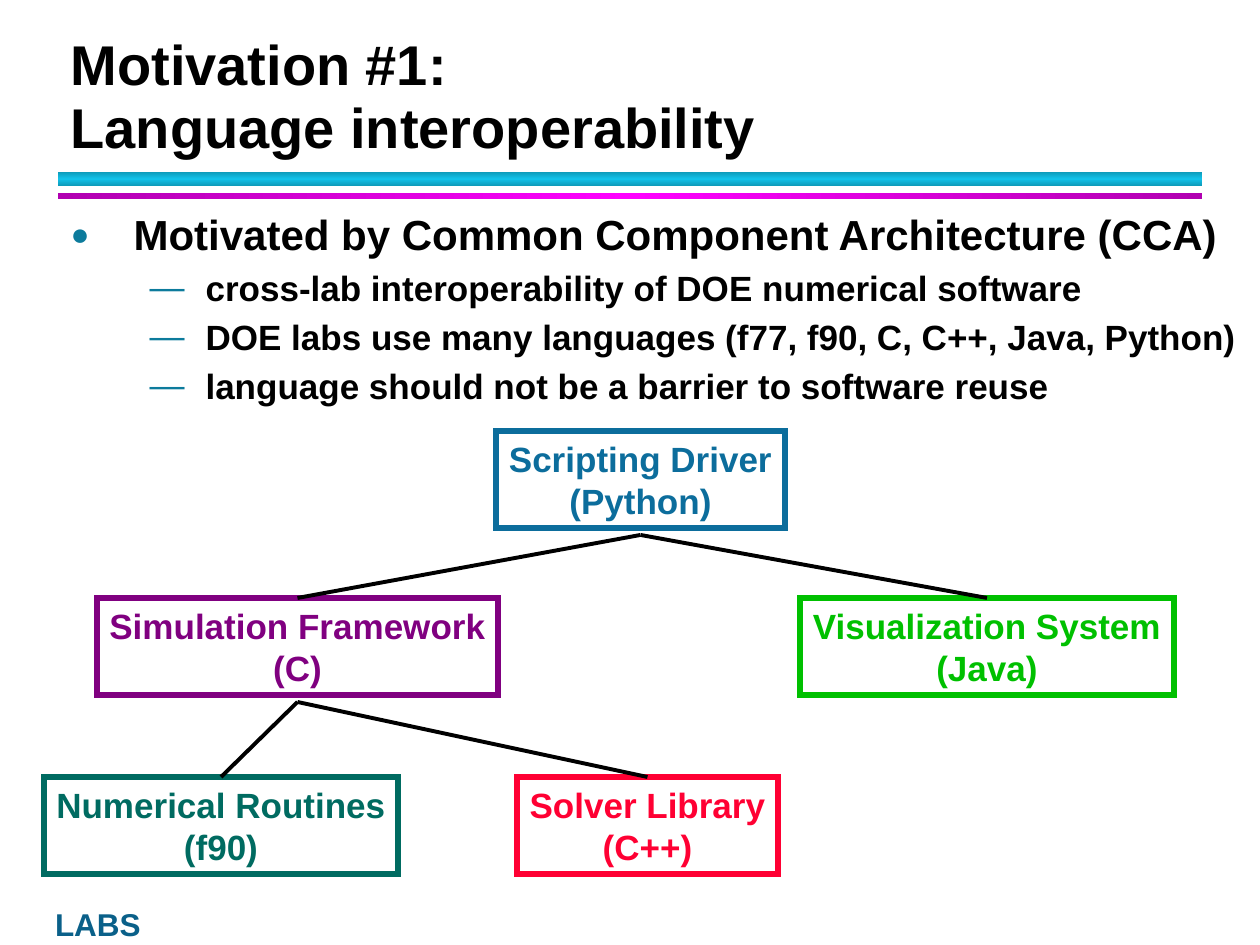
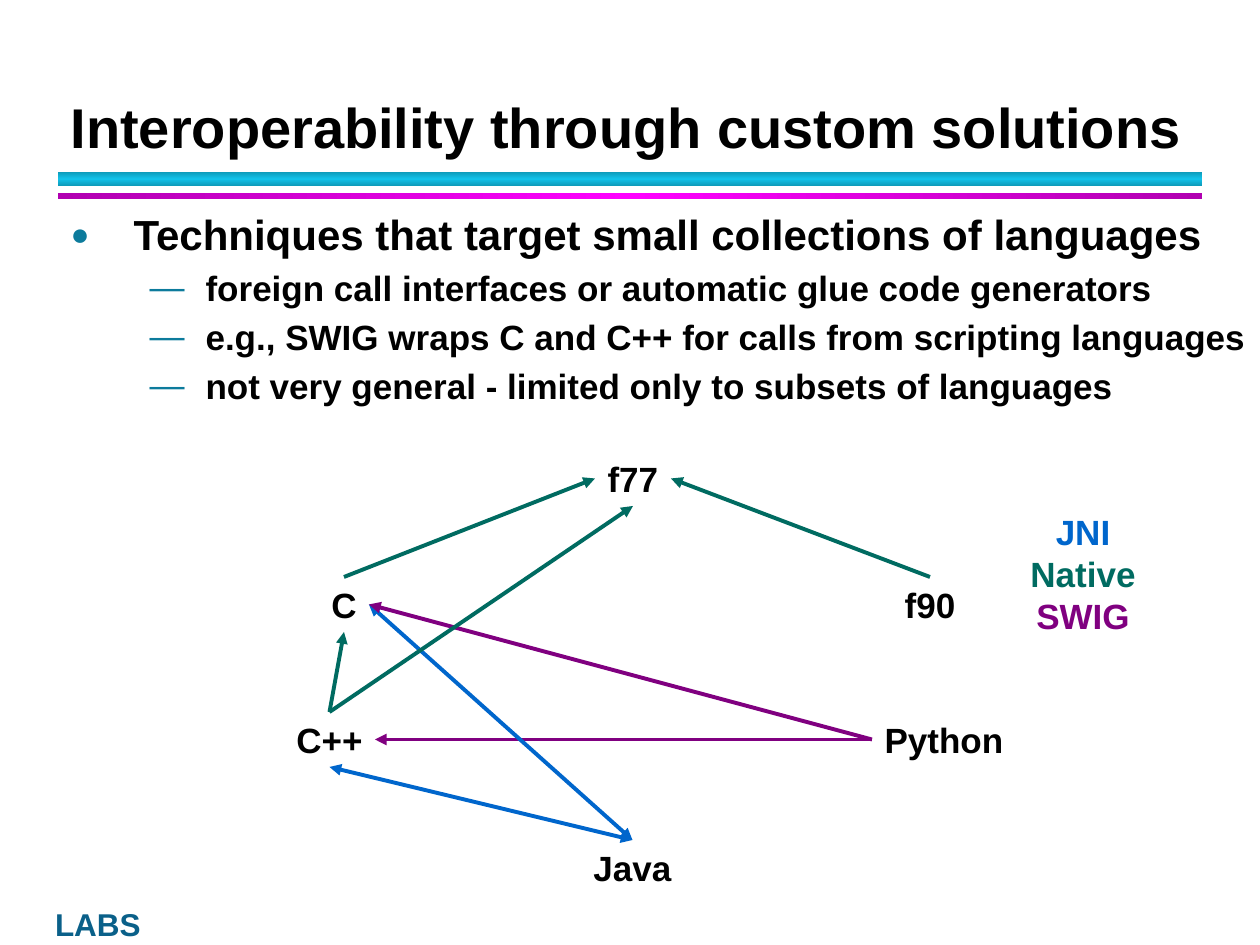
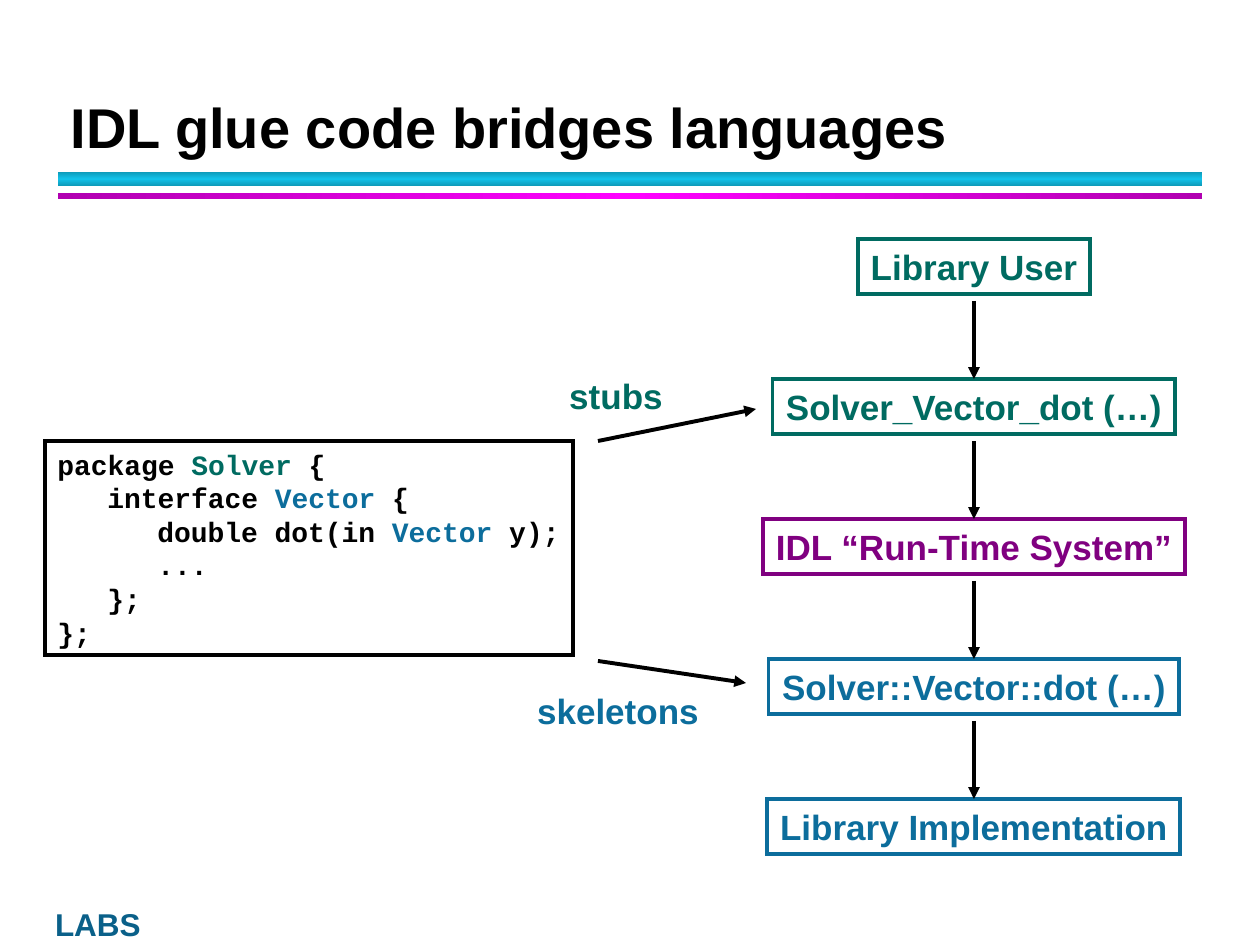
"""Build three slides on language interoperability and IDL glue code."""
from copy import deepcopy

from lxml import etree
from pptx import Presentation
from pptx import util as u
from pptx.dml.color import RGBColor
from pptx.enum import shapes, text
from pptx.oxml.ns import qn

PX = u.Inches(1) / 126
BLACK, GREEN, PURPLE, BLUE = "000000", "006B61", "800080", "0C6D9C"
JNI_BLUE, BULLET = "0066CC", "0C7B9C"
SANS, MONO = "Arial", "Courier New"
CENTER, LEFT = text.PP_ALIGN.CENTER, text.PP_ALIGN.LEFT
TOP, BOTTOM = text.MSO_ANCHOR.TOP, text.MSO_ANCHOR.BOTTOM

FOOTER = ("LABS", "0A6089", (55, 908, 97, 35))
BANDS = [
    ((58, 172, 1144, 14), 90, ("0E9AB9", "12C2E9", "0E9AB9")),
    ((58, 193, 1144, 6), 0, ("B100B1", "FF00FF", "B100B1")),
]
TITLE_BOX = (58, 42, 1142, 124)
BODY_LEFT, BODY_TOP, BODY_WIDTH = 58, 204, 1202
LEVELS = [
    dict(size=24, margin=63, hang=63, before=6, mark="●", scale=75),
    dict(size=20, margin=135, hang=56, before=0, mark="—", scale=100),
]

MOTIVATION = {
    "title": "Motivation #1:\vLanguage interoperability",
    "height": 698,
    "points": [
        "Motivated by Common Component Architecture (CCA)",
        "cross-lab interoperability of DOE numerical software",
        "DOE labs use many languages (f77, f90, C, C++, Java, Python)",
        "language should not be a barrier to software reuse",
    ],
}
COMPONENT_TOPS, COMPONENT_HEIGHT = (431, 598, 777), 97
COMPONENTS = {
    "Simulation Framework": ("(C)", PURPLE, 1, 97, 401),
    "Solver Library": ("(C++)", "FF0033", 2, 517, 261),
    "Numerical Routines": ("(f90)", GREEN, 2, 44, 354),
    "Scripting Driver": ("(Python)", BLUE, 0, 496, 289),
    "Visualization System": ("(Java)", "00C000", 1, 800, 374),
}
CALLS = [
    ("Scripting Driver", "Simulation Framework"),
    ("Scripting Driver", "Visualization System"),
    ("Simulation Framework", "Numerical Routines"),
    ("Simulation Framework", "Solver Library"),
]

CUSTOM = {
    "title": "Interoperability through custom solutions",
    "height": 215,
    "points": [
        "Techniques that target small collections of languages",
        "foreign call interfaces or automatic glue code generators",
        "e.g., SWIG wraps C and C++ for calls from scripting languages",
        "not very general - limited only to subsets of languages",
    ],
}
LABEL_HEIGHT = 55
LANGUAGES = {
    "C": (319, 577, 50),
    "C++": (284, 712, 91),
    "f77": (595, 451, 76),
    "f90": (892, 577, 76),
    "Python": (872, 712, 144),
    "Java": (581, 840, 103),
}
LEGEND = [("JNI", JNI_BLUE), ("Native", GREEN), ("SWIG", PURPLE)]
LEGEND_BOX = (1018, 504, 130, 139)
UP, WEST, DOWN, EAST = range(4)
BRIDGES = [
    ("C++", UP, "C", DOWN, GREEN, "tail"),
    ("C++", DOWN, "Java", UP, JNI_BLUE, "head tail"),
    ("Python", WEST, "C++", EAST, PURPLE, "tail"),
    ("C", UP, "f77", WEST, GREEN, "tail"),
    ("f90", UP, "f77", EAST, GREEN, "tail"),
    ("Java", UP, "C", EAST, JNI_BLUE, "head tail"),
    ("Python", WEST, "C", EAST, PURPLE, "tail"),
    ("C++", UP, "f77", DOWN, GREEN, "tail"),
]

GLUE_TITLE = "IDL glue code bridges languages"
CODE_BOX, CODE_INDENT = (45, 441, 528, 214), 50
CODE = [
    (0, [("package ", BLACK), ("Solver", GREEN), (" {", BLACK)]),
    (1, [("interface ", BLACK), ("Vector", BLUE), (" {", BLACK)]),
    (2, [("double dot(in ", BLACK), ("Vector", BLUE), (" y);", BLACK)]),
    (2, [("...", BLACK)]),
    (1, [("};", BLACK)]),
    (0, [("};", BLACK)]),
]
STACK_CENTER, STACK_TOP, STACK_STEP = 974, 239, 140
STACK = [
    ("Library User", GREEN, 232),
    ("Solver_Vector_dot (…)", GREEN, 403),
    ("IDL “Run-Time System”", PURPLE, 422),
    ("Solver::Vector::dot (…)", BLUE, 411),
    ("Library Implementation", BLUE, 413),
]
OUTPUTS = [
    ("stubs", GREEN, (557, 368, 118, LABEL_HEIGHT), (598, 441, 756, 409)),
    ("skeletons", BLUE, (525, 683, 186, LABEL_HEIGHT), (598, 661, 746, 683)),
]
CALL_GAP = 7


def px(*lengths):
    """Turn pixel lengths into EMU."""
    return [round(length * PX) for length in lengths]


def rgb(value):
    """Turn a hex string into a colour."""
    return RGBColor.from_string(value)


def place(part, box):
    """Set the left, top, width and height of a part."""
    part.left, part.top, part.width, part.height = px(*box)


def style(run, size, color, font=SANS):
    """Format one run in bold."""
    run.font.size, run.font.name, run.font.bold = u.Pt(size), font, True
    run.font.color.rgb = rgb(color)


def write(part, lines, size=20, font=SANS, align=CENTER):
    """Fill a part with lines, each a list of (words, colour) pieces."""
    frame = part.text_frame
    frame.word_wrap, frame.vertical_anchor = False, TOP
    if align == CENTER:
        frame.margin_left = frame.margin_right = 0
    for number, pieces in enumerate(lines):
        line = frame.add_paragraph() if number else frame.paragraphs[0]
        line.alignment, line.line_spacing = align, u.Pt(size * 1.2)
        for words, color in pieces:
            run = line.add_run()
            run.text = words
            style(run, size, color, font)


def label(slide, box, lines):
    """Add centred lines without a frame."""
    part = slide.shapes.add_textbox(*px(*box))
    write(part, lines)
    return part


def rectangle(slide, box):
    """Add a rectangle without a shadow."""
    part = slide.shapes.add_shape(shapes.MSO_SHAPE.RECTANGLE, *px(*box))
    part.shadow.inherit = False
    return part


def framed(slide, box, color, weight, lines, **look):
    """Add a hollow, sharp-cornered rectangle that holds lines."""
    part = rectangle(slide, box)
    part.fill.background()
    part.line.color.rgb, part.line.width = rgb(color), u.Pt(weight)
    etree.SubElement(part.element.spPr.find(qn("a:ln")), qn("a:miter"), lim="800000")
    write(part, lines, **look)
    return part


def connect(slide, ends=(0, 0, 0, 0), color=BLACK, arrows="", begin=None, end=None):
    """Add a straight line, joined to (part, side) where given."""
    line = slide.shapes.add_connector(shapes.MSO_CONNECTOR.STRAIGHT, *px(*ends))
    if begin:
        line.begin_connect(*begin)
    if end:
        line.end_connect(*end)
    line.line.color.rgb, line.line.width = rgb(color), u.Pt(2.25)
    properties = line.element.spPr
    for arrow in arrows.split():
        etree.SubElement(properties.find(qn("a:ln")), qn(f"a:{arrow}End"), type="triangle")
    etree.SubElement(properties, qn("a:effectLst"))


def call_down(slide, caller, callee, arrows=""):
    """Draw a line from just below the caller to the top of the callee."""
    x = (caller.left + caller.width / 2) / PX
    y = (caller.top + caller.height) / PX + CALL_GAP
    connect(slide, (x, y, x, y), arrows=arrows, end=(callee, UP))


def indent(line, margin, hang=0):
    """Indent a paragraph, with a hanging first line if asked."""
    properties = line._p.get_or_add_pPr()
    properties.set("marL", str(px(margin)[0]))
    properties.set("indent", str(px(-hang)[0]))
    return properties


def fill_title(slide, words):
    """Write and format the slide title."""
    title = slide.shapes.title
    place(title, TITLE_BOX)
    frame = title.text_frame
    frame.text = words
    frame.vertical_anchor, frame.auto_size = BOTTOM, text.MSO_AUTO_SIZE.NONE
    line = frame.paragraphs[0]
    line.alignment, line.line_spacing = LEFT, u.Pt(36)
    for run in line.runs:
        style(run, 32, BLACK)


def fill_body(slide, points, height):
    """Write the leading point and the points below it."""
    body = slide.placeholders[1]
    place(body, (BODY_LEFT, BODY_TOP, BODY_WIDTH, height))
    frame = body.text_frame
    frame.text = "\n".join(points)
    frame.auto_size = text.MSO_AUTO_SIZE.NONE
    for number, line in enumerate(frame.paragraphs):
        line.level = min(number, 1)
        level = LEVELS[line.level]
        line.line_spacing, line.space_before = u.Pt(28), u.Pt(level["before"])
        style(line.runs[0], level["size"], BLACK)
        properties = indent(line, level["margin"], level["hang"])
        tint = etree.SubElement(properties, qn("a:buClr"))
        etree.SubElement(tint, qn("a:srgbClr"), val=BULLET)
        etree.SubElement(properties, qn("a:buSzPct"), val=str(level["scale"] * 1000))
        etree.SubElement(properties, qn("a:buFont"), typeface=SANS)
        etree.SubElement(properties, qn("a:buChar"), char=level["mark"])


def share(deck, slide):
    """Move the bands and the footer, made on a slide, to the master."""
    master = deck.slide_master.shapes.element
    for box, angle, colors in BANDS:
        band = rectangle(slide, box)
        band.line.fill.background()
        band.fill.gradient()
        band.fill.gradient_angle = angle
        stops = band.element.spPr.find(".//" + qn("a:gsLst"))
        stops.append(deepcopy(stops[0]))
        for number, stop in enumerate(band.fill.gradient_stops):
            stop.position, stop.color.rgb = number / 2, rgb(colors[number])
        master.append(band.element)
    words, color, box = FOOTER
    footer = slide.shapes.add_textbox(*px(*box))
    write(footer, [[(words, color)]], size=18, align=LEFT)
    frame = footer.text_frame
    frame.paragraphs[0].line_spacing = u.Pt(20)
    frame.vertical_anchor = BOTTOM
    frame.margin_left = frame.margin_right = frame.margin_top = frame.margin_bottom = 0
    master.append(footer.element)


def list_slide(deck, content):
    """Add a slide with a title and a list."""
    slide = deck.slides.add_slide(deck.slide_layouts[1])
    fill_title(slide, content["title"])
    fill_body(slide, content["points"], content["height"])
    return slide


def motivation_slide(deck):
    """Show the tree of components in several languages."""
    slide = list_slide(deck, MOTIVATION)
    share(deck, slide)
    components = {}
    for name, (language, color, row, left, width) in COMPONENTS.items():
        box = (left, COMPONENT_TOPS[row], width, COMPONENT_HEIGHT)
        lines = [[(name, color)], [(language, color)]]
        components[name] = framed(slide, box, color, 3, lines)
    for caller, callee in CALLS:
        call_down(slide, components[caller], components[callee])


def custom_slide(deck):
    """Show which tools bridge which languages."""
    slide = list_slide(deck, CUSTOM)
    label(slide, LEGEND_BOX, [[tool] for tool in LEGEND])
    languages = {
        name: label(slide, (*spot, LABEL_HEIGHT), [[(name, BLACK)]])
        for name, spot in LANGUAGES.items()
    }
    for source, leave, target, enter, color, arrows in BRIDGES:
        connect(slide, color=color, arrows=arrows,
                begin=(languages[source], leave), end=(languages[target], enter))


def glue_slide(deck):
    """Show the interface code beside the chain of calls."""
    slide = deck.slides.add_slide(deck.slide_layouts[5])
    fill_title(slide, GLUE_TITLE)
    code = framed(slide, CODE_BOX, BLACK, 2.25, [pieces for _, pieces in CODE],
                  size=16, font=MONO, align=LEFT)
    for line, (depth, _) in zip(code.text_frame.paragraphs, CODE):
        indent(line, depth * CODE_INDENT)
    layers = []
    for number, (name, color, width) in enumerate(STACK):
        box = (STACK_CENTER - width / 2, STACK_TOP + number * STACK_STEP, width, LABEL_HEIGHT)
        layers.append(framed(slide, box, color, 2.25, [[(name, color)]]))
    for caller, callee in zip(layers, layers[1:]):
        call_down(slide, caller, callee, "tail")
    for name, color, box, ends in OUTPUTS:
        label(slide, box, [[(name, color)]])
        connect(slide, ends, arrows="tail")


def main():
    """Build and save the deck."""
    deck = Presentation()
    deck.slide_width, deck.slide_height = u.Inches(10), u.Inches(7.5)
    motivation_slide(deck)
    custom_slide(deck)
    glue_slide(deck)
    deck.save("out.pptx")


if __name__ == "__main__":
    main()
